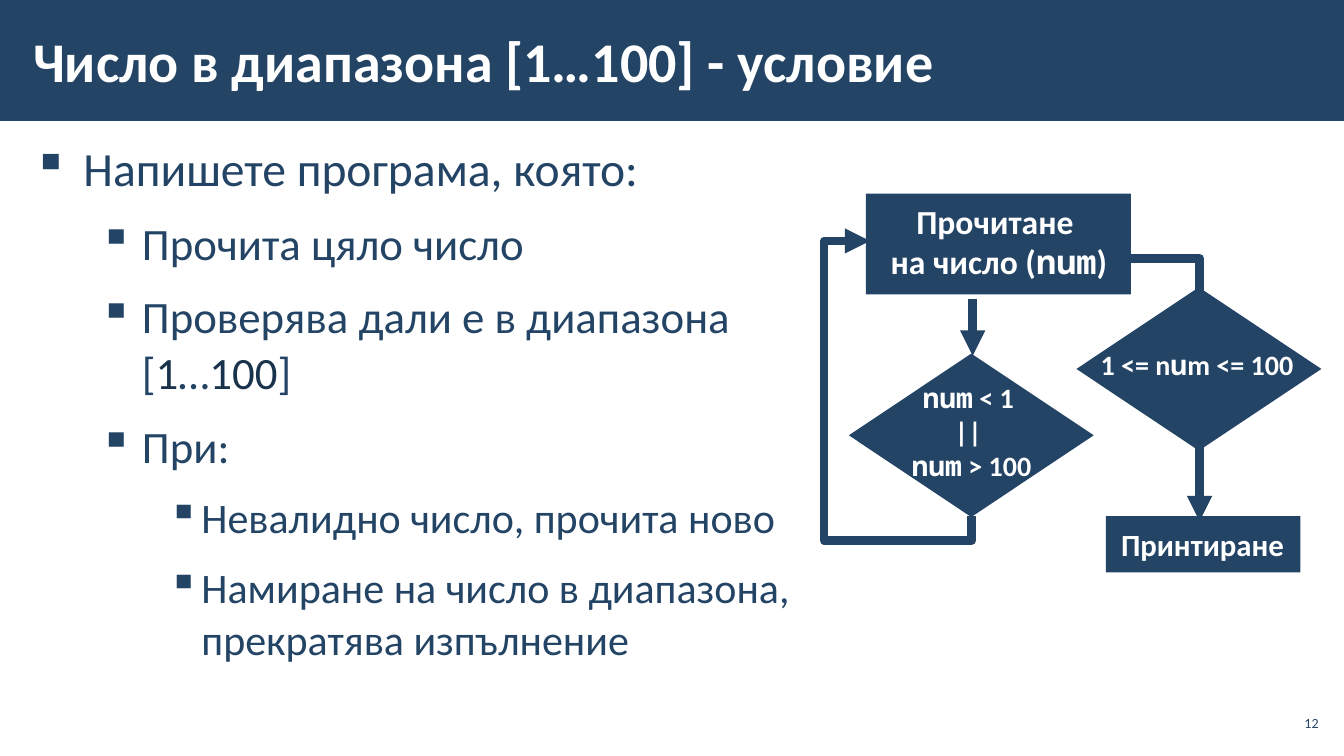
from pptx import Presentation
from pptx.dml.color import RGBColor
from pptx.enum.shapes import MSO_CONNECTOR, MSO_SHAPE
from pptx.enum.text import MSO_ANCHOR, PP_ALIGN
from pptx.oxml.ns import qn
from pptx.util import Inches, Pt
from lxml.etree import SubElement

NAVY = RGBColor(0x23, 0x44, 0x65)
DARK_NAVY = RGBColor(0x1A, 0x33, 0x4C)
WHITE = RGBColor(0xFF, 0xFF, 0xFF)
SANS = "Calibri"
MONO = "Noto Sans Mono"
COLUMNS, ROWS = 32, 18

# Per outline level: font size, left margin and hanging indent in inches
LEVELS = [(34, 0.5, -0.5), (32, 1.08, -0.42), (30, 1.67, -0.33)]


def set_values(target, values):
    for name, value in values.items():
        setattr(target, name, value)


class FlowSlide:
    """Draws on one slide; places are (column, row, columns, rows)."""

    def __init__(self, presentation):
        self.slide = presentation.slides.add_slide(presentation.slide_layouts[6])
        self.column = presentation.slide_width / COLUMNS
        self.row = presentation.slide_height / ROWS

    def to_lengths(self, place):
        units = (self.column, self.row) * 2
        return [round(count * unit) for count, unit in zip(place, units)]

    def block(self, kind, place):
        shape = self.slide.shapes.add_shape(kind, *self.to_lengths(place))
        shape.shadow.inherit = False
        shape.fill.solid()
        shape.fill.fore_color.rgb = NAVY
        shape.line.fill.background()

    def frame(self, place, margins=(0.1, 0.05), anchor=MSO_ANCHOR.TOP):
        text_frame = self.slide.shapes.add_textbox(*self.to_lengths(place)).text_frame
        side, edge = (Inches(margin) for margin in margins)
        set_values(text_frame, {
            "word_wrap": True, "vertical_anchor": anchor,
            "margin_left": side, "margin_right": side,
            "margin_top": edge, "margin_bottom": edge,
        })
        return text_frame

    def add_runs(self, paragraph, runs, size, color, bold=False):
        """Add runs of (text, overriding font values); a newline breaks the line."""
        for text, changes in runs:
            values = {"name": SANS, "size": Pt(size), "bold": bold} | changes
            run_color = values.pop("color", color)
            for index, line in enumerate(text.split("\n")):
                if index:
                    paragraph.add_line_break()
                if line:
                    run = paragraph.add_run()
                    run.text = line
                    set_values(run.font, values)
                    run.font.color.rgb = run_color

    def label(self, place, runs, size, color=WHITE, bold=True,
              align=PP_ALIGN.CENTER, **frame_format):
        paragraph = self.frame(place, **frame_format).paragraphs[0]
        paragraph.alignment = align
        self.add_runs(paragraph, runs, size, color, bold)

    def outline(self, place, items):
        text_frame = self.frame(place, margins=(0.12, 0.04))
        for index, (level, runs) in enumerate(items):
            paragraph = text_frame.add_paragraph() if index else text_frame.paragraphs[0]
            size, margin, indent = LEVELS[level]
            set_values(paragraph, {
                "level": level, "line_spacing": 1.05,
                "space_before": Pt(6), "space_after": Pt(6),
            })
            properties = paragraph._p.get_or_add_pPr()
            properties.set("marL", str(Inches(margin)))
            properties.set("indent", str(Inches(indent)))
            SubElement(properties, qn("a:buChar")).set("char", "▪")
            self.add_runs(paragraph, runs, size, NAVY)

    def arrow(self, place, preset="line", degrees=0, bends=()):
        """Bends are the preset's adjustments, as shares of the arrow's box."""
        left, top, width, height = self.to_lengths(place)
        connector = self.slide.shapes.add_connector(
            MSO_CONNECTOR.STRAIGHT, left, top, left + width, top + height)
        connector.line.color.rgb = NAVY
        connector.line.width = Pt(6)
        properties = connector._element.spPr
        geometry = properties.find(qn("a:prstGeom"))
        geometry.set("prst", preset)
        if degrees:
            transform = properties.find(qn("a:xfrm"))
            transform.set("rot", str(degrees * 60000))
            transform.set("flipH", "1")
        guides = geometry.find(qn("a:avLst"))
        if guides is None:
            guides = SubElement(geometry, qn("a:avLst"))
        for number, share in enumerate(bends, 1):
            guide = SubElement(guides, qn("a:gd"))
            guide.set("name", f"adj{number}")
            guide.set("fmla", f"val {round(share * 100000)}")
        SubElement(properties.find(qn("a:ln")), qn("a:tailEnd")).set("type", "triangle")
        SubElement(properties, qn("a:effectLst"))


def main():
    presentation = Presentation()
    set_values(presentation, {"slide_width": Inches(13.33), "slide_height": Inches(7.5)})
    page = FlowSlide(presentation)
    mono, dark = {"name": MONO}, {"color": DARK_NAVY}

    page.block(MSO_SHAPE.RECTANGLE, (0, 0, COLUMNS, 2.88))
    page.label((0.5, 0.26, 24.94, 2.33), [("Число в диапазона [1…100] - условие", {})], 40,
               align=PP_ALIGN.LEFT, margins=(0.12, 0.04), anchor=MSO_ANCHOR.MIDDLE)
    page.outline((0.5, 3.14, 31, 13.66), [
        (0, [("Напишете програма, която:", {})]),
        (1, [("Прочита цяло число", {})]),
        (1, [("Проверява дали е в диапазона\n[", {}), ("1", dark), ("…", {}),
             ("100", dark), ("]", {})]),
        (1, [("При:", {})]),
        (2, [("Невалидно число, прочита ново", {})]),
        (2, [("Намиране на число в диапазона,\nпрекратява изпълнение", {})]),
    ])
    page.label((30.36, 16.8, 1.13, 0.82), [("12", {})], 10, NAVY, False,
               PP_ALIGN.RIGHT, margins=(0.04, 0.04), anchor=MSO_ANCHOR.MIDDLE)

    for kind, place in [
        (MSO_SHAPE.FLOWCHART_DECISION, (25.63, 6.84, 5.83, 3.89)),
        (MSO_SHAPE.FLOWCHART_DECISION, (20.21, 8.42, 5.83, 3.89)),
        (MSO_SHAPE.RECTANGLE, (20.62, 4.61, 6.31, 2.4)),
        (MSO_SHAPE.RECTANGLE, (26.33, 12.29, 4.63, 1.34)),
    ]:
        page.block(kind, place)

    page.arrow((24.48, 8.33, 6.26, 1.9), "bentConnector3", 270, [0])
    page.arrow((18.65, 7.8, 6.55, 2.42), "bentConnector4", 90, [-0.09, 1.45])
    page.arrow((23.16, 7.13, 0, 1.34))

    for place, size, runs in [
        ((20.71, 4.66, 6.14, 2.18), 24,
         [("Прочитане \nна число (", {}), ("num", mono), (")", {})]),
        ((26.18, 12.41, 4.9, 1.13), 22, [("Принтиране", {})]),
        ((20.5, 8.95, 5.26, 2.66), 20,
         [("num", mono), (" < 1 \n|| \n", {}), ("num", mono), (" > 100", {})]),
        ((25.51, 8.16, 5.83, 1.06), 20,
         [(" 1 <= n", {}), ("u", mono), ("m <= 100", {})]),
    ]:
        page.label(place, runs, size)

    presentation.save("out.pptx")


if __name__ == "__main__":
    main()
